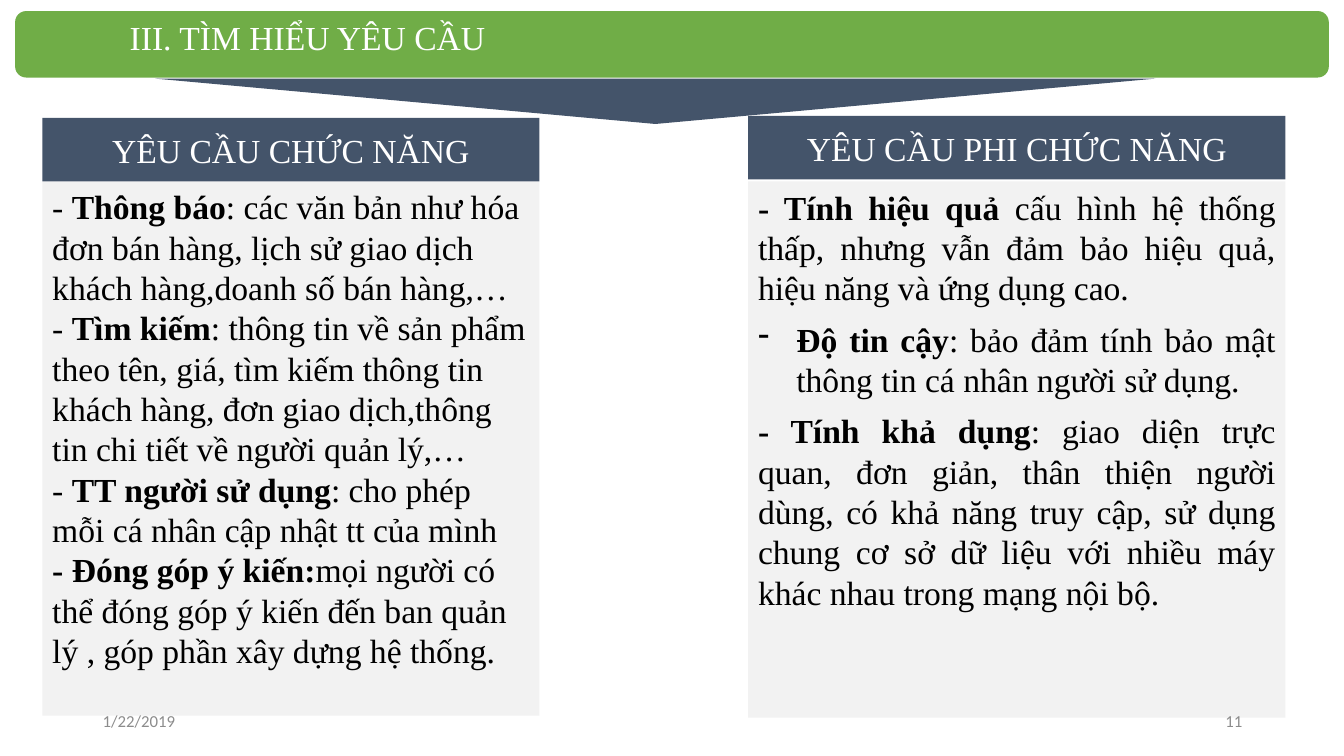
import pptx
import pptx.util
import pptx.dml.color
import pptx.enum.shapes
import pptx.enum.text
import pptx.oxml.ns
import lxml.etree

RGBColor = pptx.dml.color.RGBColor
SHAPE = pptx.enum.shapes.MSO_SHAPE
ALIGN = pptx.enum.text.PP_ALIGN
ANCHOR = pptx.enum.text.MSO_ANCHOR

GREEN = RGBColor(0x70, 0xAD, 0x47)
NAVY = RGBColor(0x44, 0x54, 0x6A)
PALE = RGBColor(0xF2, 0xF2, 0xF2)
GREY = RGBColor(0x8C, 0x8C, 0x8C)
WHITE = RGBColor(0xFF, 0xFF, 0xFF)
BLACK = RGBColor(0, 0, 0)

W, H = 13.33, 7.5
HEADING_H = 0.63

FUNCTIONAL = [
    [("- ", False), ("Thông báo", True),
     (": các văn bản như hóa đơn bán hàng, lịch sử giao dịch khách hàng,doanh số bán hàng,…", False)],
    [("- ", False), ("Tìm kiếm", True),
     (": thông tin về sản phẩm theo tên, giá, tìm kiếm thông tin khách hàng, đơn giao dịch,"
      "thông tin chi tiết về người quản lý,…", False)],
    [("- ", False), ("TT người sử dụng", True),
     (": cho phép mỗi cá nhân cập nhật tt của mình", False)],
    [("- Đóng góp ý kiến:", True),
     ("mọi người có thể đóng góp ý kiến đến ban quản lý , góp phần xây dựng hệ thống.", False)],
]
NON_FUNCTIONAL = [
    [("- Tính hiệu quả ", True),
     ("cấu hình hệ thống thấp, nhưng vẫn đảm bảo hiệu quả, hiệu năng và ứng dụng cao.", False)],
    [("Độ tin cậy", True),
     (": bảo đảm tính bảo mật thông tin cá nhân người sử dụng.", False)],
    [("- Tính khả dụng", True),
     (": giao diện trực quan, đơn giản, thân thiện người dùng, có khả năng truy cập, "
      "sử dụng chung cơ sở dữ liệu với nhiều máy khác nhau trong mạng nội bộ.", False)],
]


def inches(*lengths):
    return [pptx.util.Inches(v) for v in lengths]


def add_block(shapes, kind, box, color):
    sp = shapes.add_shape(kind, *inches(*box))
    sp.shadow.inherit = False
    sp.fill.solid()
    sp.fill.fore_color.rgb = color
    sp.line.fill.background()
    return sp


def write(sp, paragraphs, size=24, font="Times New Roman", color=BLACK,
          align=ALIGN.LEFT, anchor=ANCHOR.TOP, after=0):
    if isinstance(paragraphs, str):
        paragraphs = [[(paragraphs, False)]]
    tf = sp.text_frame
    tf.word_wrap = True
    tf.vertical_anchor = anchor
    for i, runs in enumerate(paragraphs):
        p = tf.add_paragraph() if i else tf.paragraphs[0]
        p.alignment = align
        p.space_after = pptx.util.Pt(after)
        for text, bold in runs:
            r = p.add_run()
            r.text = text
            r.font.name = font
            r.font.size = pptx.util.Pt(size)
            r.font.bold = bold
            r.font.color.rgb = color
    return tf


def add_dash(p, indent):
    pPr = p._p.get_or_add_pPr()
    pPr.set("marL", str(pptx.util.Inches(indent)))
    pPr.set("indent", str(-pptx.util.Inches(indent)))
    bullet = lxml.etree.SubElement(pPr, pptx.oxml.ns.qn("a:buChar"))
    bullet.set("char", "-")


def add_header(s, x, y, w, h):
    arrow = add_block(s.shapes, SHAPE.ISOSCELES_TRIANGLE, (x + 1.39, y + h + 0.01, 9.92, 0.45), NAVY)
    arrow.rotation = 180
    add_block(s.shapes, SHAPE.ROUNDED_RECTANGLE, (x, y, w, h), GREEN)
    title = s.shapes.add_textbox(*inches(x - 0.92, y + 0.01, 7.64, 0.5))
    write(title, "III. TÌM HIỂU YÊU CẦU", color=WHITE, align=ALIGN.CENTER)


def add_column(s, x, y, w, h, heading, items, gap=0, **fmt):
    shapes = s.shapes.add_group_shape().shapes
    top = HEADING_H + gap
    body = add_block(shapes, SHAPE.RECTANGLE, (x, y + top, w, h - top), PALE)
    tf = write(body, items, **fmt)
    head = add_block(shapes, SHAPE.RECTANGLE, (x, y, w, HEADING_H), NAVY)
    write(head, heading, color=WHITE, align=ALIGN.CENTER, anchor=ANCHOR.MIDDLE)
    return tf


def add_footer(s, x, y, w, h):
    part_w = 3
    for left, text, align in ((x, "1/22/2019", ALIGN.LEFT),
                              (x + w - part_w, "11", ALIGN.RIGHT)):
        box = s.shapes.add_textbox(*inches(left, y, part_w, h))
        write(box, text, size=12, font="Calibri", color=GREY, align=align, anchor=ANCHOR.MIDDLE)


def main():
    prs = pptx.Presentation()
    prs.slide_width, prs.slide_height = inches(W, H)
    s = prs.slides.add_slide(prs.slide_layouts[6])
    add_column(s, 0.42, 1.17, 4.93, 5.93, "YÊU CẦU CHỨC NĂNG", FUNCTIONAL)
    tf = add_column(s, 7.42, 1.15, 5.33, 5.97, "YÊU CẦU PHI CHỨC NĂNG", NON_FUNCTIONAL,
                    gap=0.02, align=ALIGN.JUSTIFY, after=8)
    add_dash(tf.paragraphs[1], 0.38)
    add_header(s, 0.15, 0.11, 13.03, 0.66)
    add_footer(s, 0.92, 6.95, 11.5, 0.4)
    prs.save("out.pptx")


if __name__ == "__main__":
    main()
